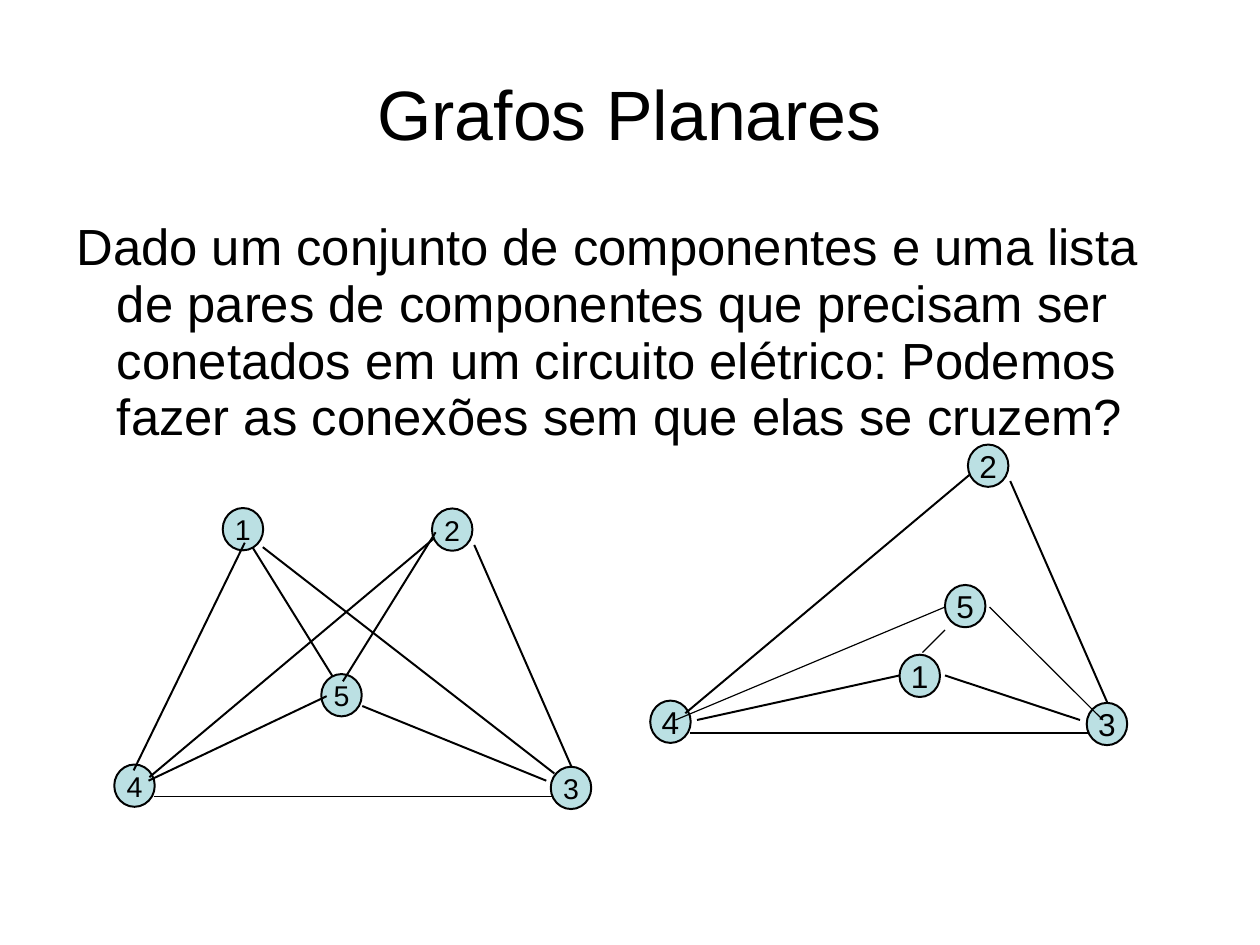
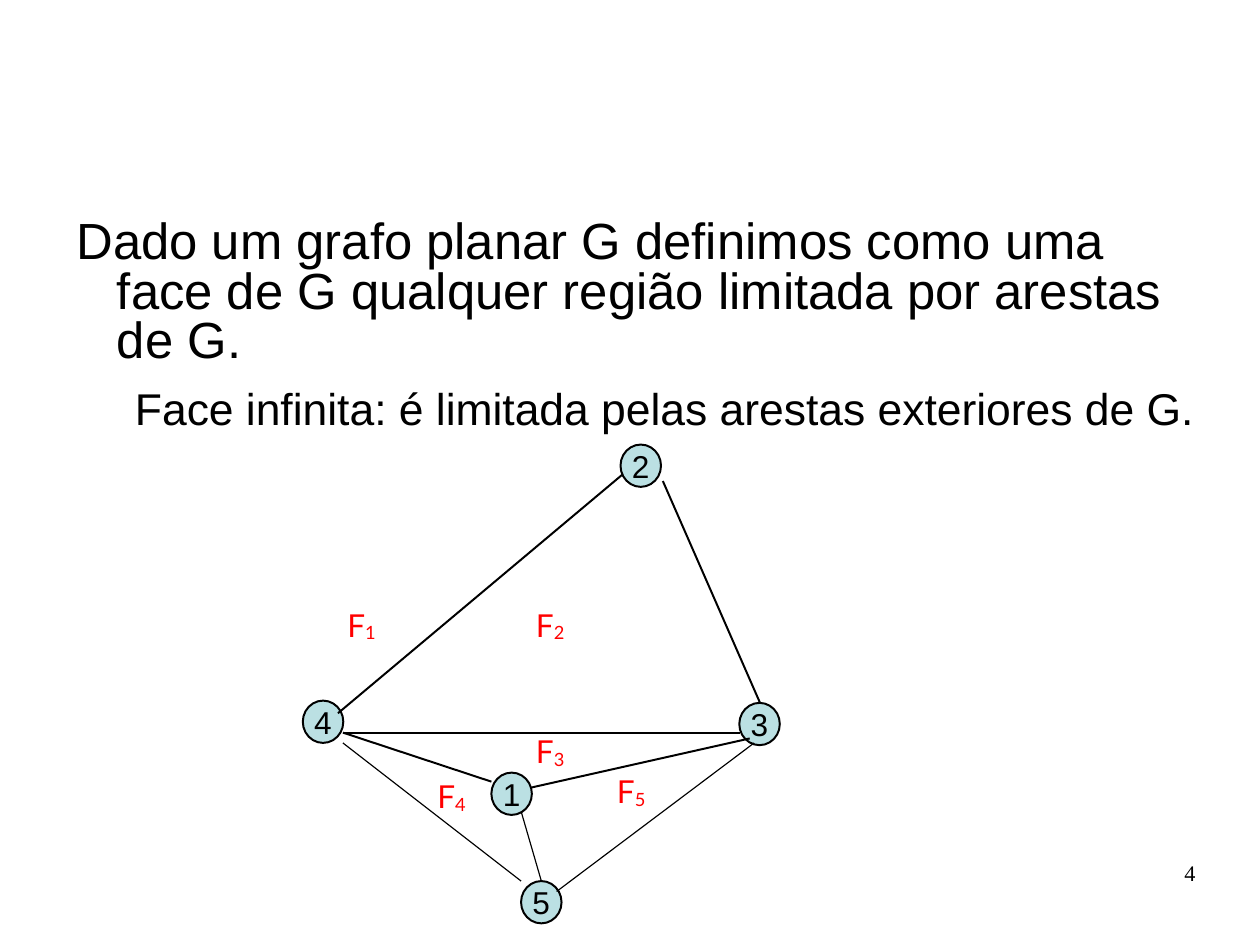
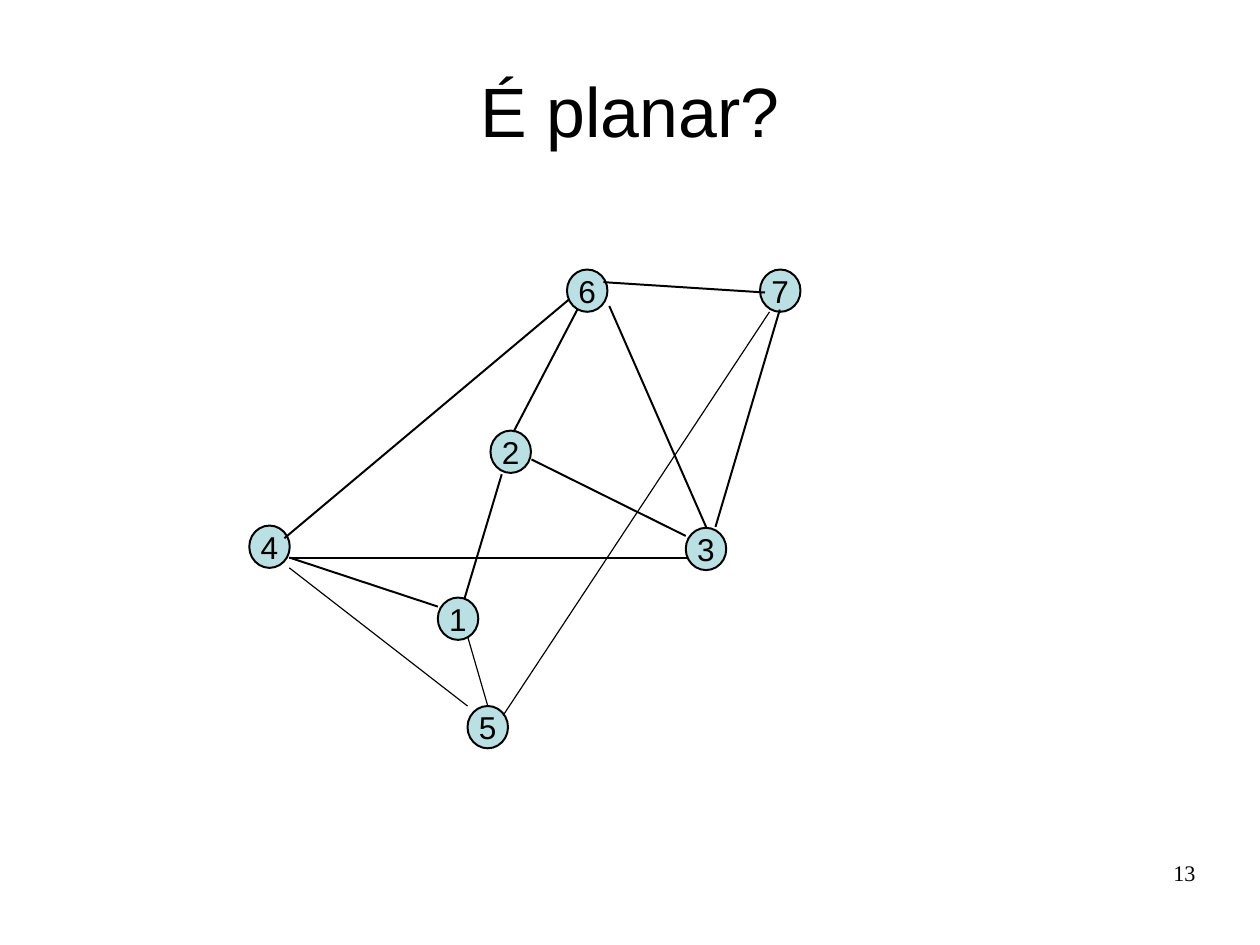
from dataclasses import dataclass
from typing import Any

from lxml.etree import SubElement
from pptx import Presentation
from pptx.dml.color import RGBColor
from pptx.enum.shapes import MSO_CONNECTOR as Connector, MSO_SHAPE as Shape
from pptx.enum.text import MSO_ANCHOR as Anchor, PP_ALIGN as Align
from pptx.oxml.ns import qn
from pptx.slide import Slide
from pptx.util import Cm, Pt

BLACK, RED, NODE_BLUE = "000000", "FF0000", "BBE0E3"
NODE_WIDTH, NODE_HEIGHT = 0.9, 0.94
THICK, THIN = 1.25, 0.75
BLANK_LAYOUT = 6

Point = tuple[float, float]
Box = tuple[float, float, float, float]

TITLE_BOX: Box = (1.4, 0.97, 25.2, 3.25)
BODY_BOX: Box = (1.4, 4.9, 25.2, 6.1)
NUMBER_BOX: Box = (20.07, 19.13, 6.5, 1.45)
NO_MARGINS = dict.fromkeys(
    ("margin_left", "margin_top", "margin_right", "margin_bottom"), 0
)


@dataclass(frozen=True)
class Vertex:
    label: str
    at: Point


@dataclass(frozen=True)
class Edge:
    start: Point
    end: Point
    weight: float = THICK


@dataclass(frozen=True)
class Graph:
    origin: Point
    vertices: list[Vertex]
    edges: list[Edge]
    apex: str = "2"
    size: float = 19.9


@dataclass(frozen=True)
class Paragraph:
    text: str
    size: float
    font: str = "Arial"
    color: str = BLACK
    subscript: str = ""
    left: float = 0
    hanging: float = 0
    layout: tuple[tuple[str, Any], ...] = ()


@dataclass(frozen=True)
class FaceLabel:
    number: str
    at: Point


FRAME_EDGES = [
    Edge((0.89, 0.71), (9.72, 0.71)),
    Edge((8, -4.88), (10.16, 0.05)),
    Edge((7.11, -5.03), (0.78, 0.28)),
]
LOWER_VERTICES = [Vertex("5", (4.85, 4.01)), Vertex("1", (4.19, 1.6))]
LOWER_EDGES = [
    Edge((0.89, 0.71), (4.19, 1.8)),
    Edge((0.89, 0.94), (4.85, 4.01), THIN),
    Edge((4.85, 2.46), (5.3, 4.01), THIN),
]

CROSSED = Graph(
    (2.54, 16.99),
    [Vertex("5", (4.6, -2.01)), Vertex("1", (2.41, -5.7))],
    [
        Edge((3.07, -4.83), (4.85, -1.96)),
        Edge((5.08, -1.85), (7.14, -5.16)),
        Edge((0.43, 0.13), (2.9, -4.93)),
        Edge((3.3, -4.83), (9.78, 0.2)),
        Edge((5.51, -1.3), (9.6, 0.36)),
        Edge((4.72, -1.52), (0.76, 0.36)),
    ],
    size=18,
)
UNCROSSED = Graph(
    (14.45, 15.57),
    [Vertex("5", (6.55, -2.57)), Vertex("1", (5.54, -1.02))],
    [
        Edge((1.04, 0.43), (5.54, -0.56)),
        Edge((6.55, -0.56), (9.55, 0.43)),
        Edge((0.56, 0.43), (6.55, -2.08), THIN),
        Edge((10.06, 0.43), (7.54, -2.08), THIN),
        Edge((6.55, -1.57), (6.05, -1.07), THIN),
    ],
)
FACES = Graph(
    (6.73, 15.57),
    LOWER_VERTICES,
    LOWER_EDGES + [
        Edge((5.08, 1.93), (9.93, 0.84)),
        Edge((10.03, 0.94), (5.64, 4.24), THIN),
    ],
)
QUESTION = Graph(
    (5.54, 11.68),
    LOWER_VERTICES + [Vertex("2", (5.36, -2.11)), Vertex("7", (11.35, -5.69))],
    LOWER_EDGES + [
        Edge((11.56, -4.75), (5.64, 4.22), THIN),
        Edge((7.29, -4.8), (5.87, -2.08)),
        Edge((7.87, -5.41), (11.46, -5.18)),
        Edge((5.61, -1.14), (4.78, 1.63)),
        Edge((9.7, 0.23), (6.27, -1.47)),
        Edge((11.79, -4.8), (10.36, 0.03)),
    ],
    apex="6",
)
FACE_LABELS = [
    FaceLabel("1", (7.47, 13.34)),
    FaceLabel("2", (11.66, 13.34)),
    FaceLabel("3", (11.66, 16.15)),
    FaceLabel("4", (9.47, 17.15)),
    FaceLabel("5", (13.46, 17.04)),
]


def assign(target: Any, values: dict[str, Any]) -> None:
    for name, value in values.items():
        setattr(target, name, value)


def paint(target: Any, color: str) -> None:
    if hasattr(target, "solid"):
        target.solid()
        target.fore_color.rgb = RGBColor.from_string(color)
    else:
        target.color.rgb = RGBColor.from_string(color)


def write(frame: Any, paragraphs: list[Paragraph], **settings: Any) -> None:
    assign(frame, settings)
    for index, content in enumerate(paragraphs):
        line = frame.add_paragraph() if index else frame.paragraphs[0]
        assign(line, dict(content.layout))
        if content.left:
            properties = line._p.get_or_add_pPr()
            properties.set("marL", str(Cm(content.left)))
            properties.set("indent", str(-Cm(content.hanging)))
        for text in filter(None, (content.text, content.subscript)):
            run = line.add_run()
            run.text = text
            assign(run.font, {"name": content.font, "size": Pt(content.size)})
            paint(run.font, content.color)
        if content.subscript:
            run._r.get_or_add_rPr().set("baseline", "-8000")


def add_text(
    slide: Slide, box: Box, paragraphs: list[Paragraph], **settings: Any
) -> None:
    frame = slide.shapes.add_textbox(*map(Cm, box)).text_frame
    write(frame, paragraphs, word_wrap=True, **settings)


def add_title(slide: Slide, text: str, spacing: float) -> None:
    layout = (("alignment", Align.CENTER), ("line_spacing", spacing))
    add_text(
        slide, TITLE_BOX, [Paragraph(text, 44, layout=layout)],
        vertical_anchor=Anchor.MIDDLE, **NO_MARGINS,
    )


def add_body(slide: Slide, spacing: float, statement: str, detail: str = "") -> None:
    layout = (("line_spacing", spacing), ("space_after", Pt(14.2)))
    paragraphs = [Paragraph(statement, 32, left=1.2, hanging=0.9, layout=layout)]
    if detail:
        layout = (("line_spacing", spacing), ("space_after", Pt(11.4)))
        paragraphs.append(
            Paragraph(detail, 28, left=2.4, hanging=0.8, layout=layout)
        )
    add_text(slide, BODY_BOX, paragraphs, **NO_MARGINS)


def add_number(slide: Slide, number: str) -> None:
    layout = (("alignment", Align.RIGHT), ("line_spacing", 0.95))
    add_text(
        slide, NUMBER_BOX,
        [Paragraph(number, 14, "Times New Roman", layout=layout)], **NO_MARGINS,
    )


def add_vertex(slide: Slide, origin: Point, vertex: Vertex, size: float) -> None:
    left, top = (base + shift for base, shift in zip(origin, vertex.at))
    node = slide.shapes.add_shape(
        Shape.OVAL, Cm(left), Cm(top), Cm(NODE_WIDTH), Cm(NODE_HEIGHT)
    )
    node.shadow.inherit = False
    paint(node.fill, NODE_BLUE)
    paint(node.line, BLACK)
    node.line.width = Pt(THICK)
    label = Paragraph(vertex.label, size, layout=(("alignment", Align.CENTER),))
    write(node.text_frame, [label], word_wrap=False, vertical_anchor=Anchor.MIDDLE)


def add_edge(slide: Slide, origin: Point, edge: Edge) -> None:
    ends = [
        Cm(base + shift)
        for point in (edge.start, edge.end)
        for base, shift in zip(origin, point)
    ]
    link = slide.shapes.add_connector(Connector.STRAIGHT, *ends)
    paint(link.line, BLACK)
    link.line.width = Pt(edge.weight)
    SubElement(link._element.spPr, qn("a:effectLst"))


def add_graph(slide: Slide, graph: Graph) -> None:
    frame = [
        Vertex("4", (0, 0)),
        Vertex("3", (9.7, 0.05)),
        Vertex(graph.apex, (7.06, -5.69)),
    ]
    for vertex in frame + graph.vertices:
        add_vertex(slide, graph.origin, vertex, graph.size)
    for edge in FRAME_EDGES + graph.edges:
        add_edge(slide, graph.origin, edge)


def main() -> None:
    deck = Presentation()
    assign(deck, {"slide_width": Cm(28), "slide_height": Cm(21)})
    circuit, faces, question = (
        deck.slides.add_slide(deck.slide_layouts[BLANK_LAYOUT]) for _ in range(3)
    )

    add_title(circuit, "Grafos Planares", 0.93)
    add_body(
        circuit, 0.93,
        "Dado um conjunto de componentes e uma lista de pares de componentes "
        "que precisam ser conetados em um circuito elétrico: Podemos fazer as "
        "conexões sem que elas se cruzem?",
    )
    for graph in (CROSSED, UNCROSSED):
        add_graph(circuit, graph)

    add_body(
        faces, 0.81,
        "Dado um grafo planar G definimos como uma face de G qualquer região "
        "limitada por arestas de G.",
        "Face infinita: é limitada pelas arestas exteriores de G.",
    )
    add_graph(faces, FACES)
    for face in FACE_LABELS:
        label = Paragraph("F", 19.9, "Lato", RED, subscript=face.number)
        add_text(faces, (*face.at, 2.34, 1.22), [label])
    add_number(faces, "4")

    add_title(question, "É planar?", 0.81)
    add_graph(question, QUESTION)
    add_number(question, "13")

    deck.save("out.pptx")


if __name__ == "__main__":
    main()
